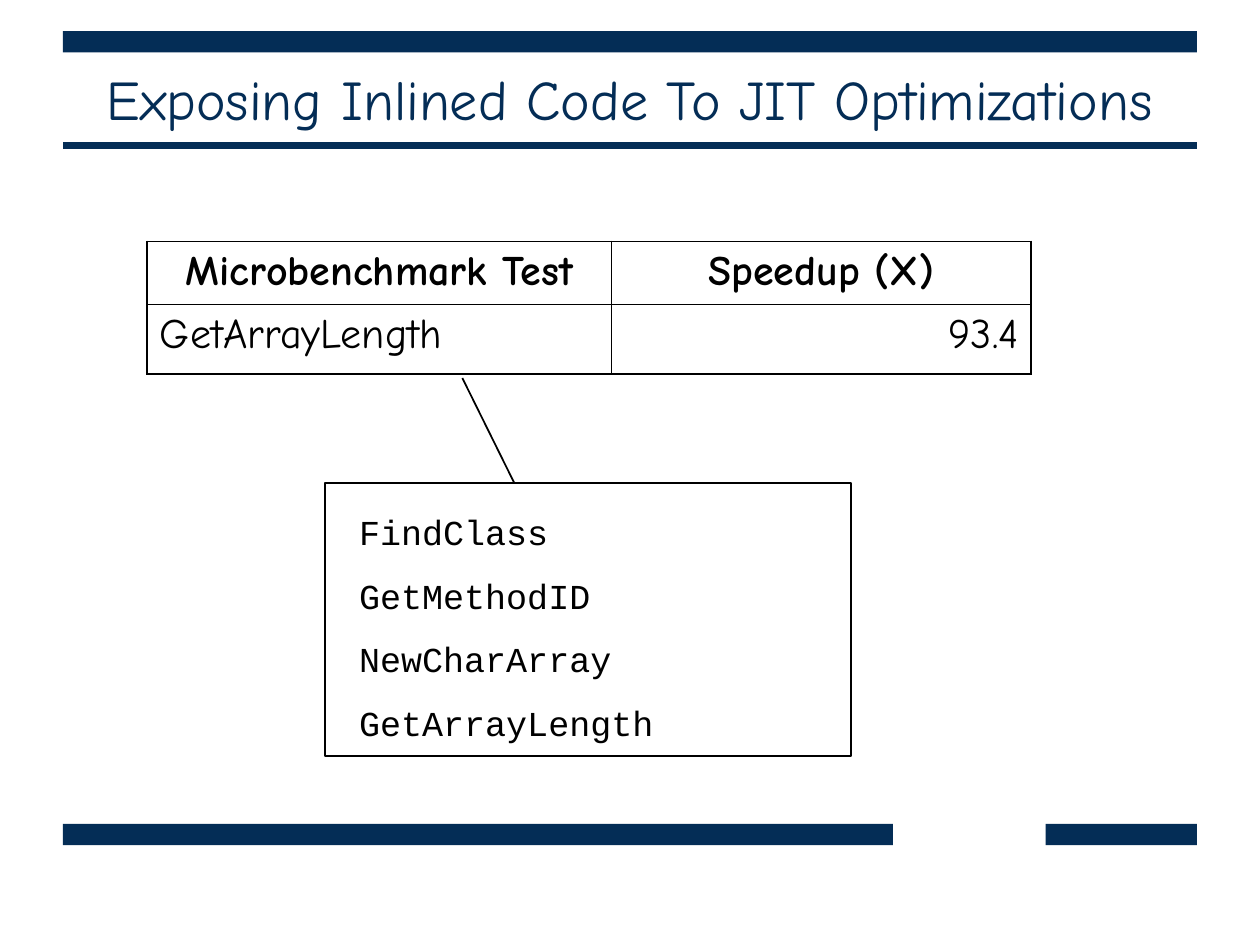
from dataclasses import dataclass

from lxml import etree
from pptx import Presentation
from pptx.dml.color import RGBColor
from pptx.enum import shapes, text
from pptx.oxml import ns
from pptx.util import Cm, Pt

NAVY = RGBColor(0x04, 0x2D, 0x56)
BLACK = RGBColor(0, 0, 0)
SANS = "Comic Neue"
MONO = "Courier New"
LEFT, RIGHT = 1.27, 24.13
THIN, THICK = 0.45, 1.08
ALIGN = text.PP_ALIGN


@dataclass
class Box:
    x: float
    y: float
    w: float
    h: float

    def cm(self) -> list[Cm]:
        return [Cm(v) for v in (self.x, self.y, self.w, self.h)]


@dataclass
class Rule:
    x1: float
    y1: float
    x2: float
    y2: float
    color: RGBColor
    width: float


BARS = [
    Box(LEFT, 0.63, RIGHT - LEFT, 0.43),
    Box(LEFT, 16.61, 16.73, 0.43),
    Box(21.08, 16.61, RIGHT - 21.08, 0.43),
]
TITLE = Box(0, 1.03, 25.4, 1.91)
GRID = Box(2.97, 4.87, 17.82, 2.67)
FRAME = Box(6.56, 9.74, 10.59, 5.5)
CALLS = Box(6.99, 10.16, 10.16, 4.98)
RULES = [
    Rule(LEFT, 2.94, RIGHT, 2.94, NAVY, 4),
    Rule(9.32, 7.62, 10.37, FRAME.y, BLACK, 1),
]
COLS = [9.36, 8.46]
ROWS = [1.27, 1.4]
CELLS = [["Microbenchmark Test", "Speedup (X)"], ["GetArrayLength", "93.4"]]
NAMES = ["FindClass", "GetMethodID", "NewCharArray", "GetArrayLength"]


def write(frame, lines: list[str], *, size: float, font: str = SANS,
          color: RGBColor = BLACK, bold: bool = False,
          align=ALIGN.LEFT, gap: float = 0) -> None:
    """Fill a text frame, one paragraph a line, with gap points between."""
    frame.word_wrap = True
    for i, line in enumerate(lines):
        para = frame.add_paragraph() if i else frame.paragraphs[0]
        para.alignment = align
        para.space_before = Pt(gap if i else 0)
        run = para.add_run()
        run.text = line
        run.font.name, run.font.size = font, Pt(size)
        run.font.bold, run.font.color.rgb = bold, color


def draw_box(slide, box: Box, fill: RGBColor | None = None) -> None:
    """Draw a filled bar, or a black outline when there is no fill."""
    rect = slide.shapes.add_shape(shapes.MSO_SHAPE.RECTANGLE, *box.cm())
    rect.shadow.inherit = False
    if fill is None:
        rect.fill.background()
        rect.line.color.rgb = BLACK
        rect.line.width = Pt(1)
    else:
        rect.fill.solid()
        rect.fill.fore_color.rgb = fill
        rect.line.fill.background()


def draw_rule(slide, rule: Rule) -> None:
    ends = [Cm(v) for v in (rule.x1, rule.y1, rule.x2, rule.y2)]
    line = slide.shapes.add_connector(shapes.MSO_CONNECTOR.STRAIGHT, *ends)
    line.line.color.rgb = rule.color
    line.line.width = Pt(rule.width)
    etree.SubElement(line._element.spPr, ns.qn("a:effectLst"))


def set_edges(cell, widths: dict[str, float]) -> None:
    props = cell._tc.get_or_add_tcPr()
    for i, (side, width) in enumerate(widths.items()):
        edge = etree.Element(ns.qn(f"a:ln{side}"), w=str(int(Pt(width))))
        fill = etree.SubElement(edge, ns.qn("a:solidFill"))
        etree.SubElement(fill, ns.qn("a:srgbClr"), val=str(BLACK))
        props.insert(i, edge)


def draw_table(slide) -> None:
    table = slide.shapes.add_table(len(ROWS), len(COLS), *GRID.cm()).table
    table.first_row = table.horz_banding = False
    for col, width in zip(table.columns, COLS):
        col.width = Cm(width)
    for r, (row, height) in enumerate(zip(table.rows, ROWS)):
        row.height = Cm(height)
        for c, cell in enumerate(row.cells):
            head = r == 0
            side = ALIGN.RIGHT if c else ALIGN.LEFT
            write(cell.text_frame, [CELLS[r][c]], size=24, bold=head,
                  align=ALIGN.CENTER if head else side)
            cell.fill.background()
            outer = {"L": c == 0, "R": c == len(COLS) - 1,
                     "T": head, "B": r == len(ROWS) - 1}
            set_edges(cell, {k: THICK if v else THIN for k, v in outer.items()})


def main() -> None:
    deck = Presentation()
    deck.slide_width, deck.slide_height = Cm(25.4), Cm(19.05)
    slide = deck.slides.add_slide(deck.slide_layouts[6])
    for bar in BARS:
        draw_box(slide, bar, NAVY)

    title = slide.shapes.add_textbox(*TITLE.cm()).text_frame
    title.vertical_anchor = text.MSO_ANCHOR.MIDDLE
    write(title, ["Exposing Inlined Code To JIT Optimizations"], size=32,
          color=NAVY, align=ALIGN.CENTER)

    draw_table(slide)
    calls = slide.shapes.add_textbox(*CALLS.cm()).text_frame
    write(calls, NAMES, size=20, font=MONO, gap=12.5)
    draw_box(slide, FRAME)
    for rule in RULES:
        draw_rule(slide, rule)
    deck.save("out.pptx")


if __name__ == "__main__":
    main()
